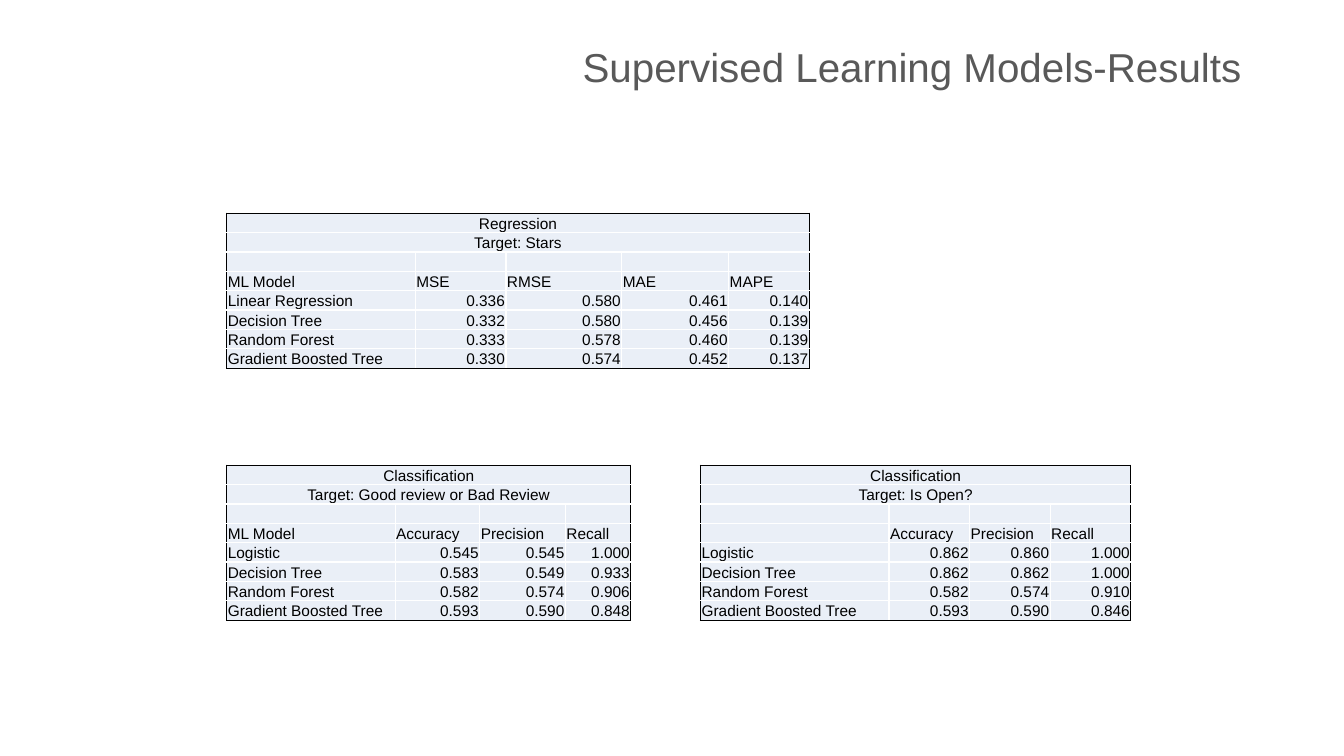
import dataclasses

import lxml.etree
import pptx
import pptx.dml.color
import pptx.enum.text
import pptx.oxml.ns
import pptx.slide
import pptx.table
import pptx.text.text
import pptx.util

# Grid: 80 columns by 39 rows; one table row is one grid row
WIDE = pptx.util.Inches(13.333)
HIGH = pptx.util.Inches(7.5)
COLS, ROWS = 80, 39
FONT = "Arial"
HUES = {"title": "595959", "text": "000000", "fill": "EAEFF7",
        "frame": "000000", "rule": "FFFFFF"}
ALIGN = pptx.enum.text.PP_ALIGN
ANCHOR = pptx.enum.text.MSO_ANCHOR
qn = pptx.oxml.ns.qn


@dataclasses.dataclass
class Score:
    """Results of several models on one target, placed on the grid."""
    left: float
    top: float
    widths: list[float]
    task: str
    target: str
    heads: list[str]
    models: dict[str, list[float]]


SCORES = [
    Score(13.5, 11, [11.22, 5.4, 6.9, 6.36, 4.8], "Regression", "Target: Stars",
          ["ML Model", "MSE", "RMSE", "MAE", "MAPE"],
          {"Linear Regression": [0.336, 0.580, 0.461, 0.140],
           "Decision Tree": [0.332, 0.580, 0.456, 0.139],
           "Random Forest": [0.333, 0.578, 0.460, 0.139],
           "Gradient Boosted Tree": [0.330, 0.574, 0.452, 0.137]}),
    Score(13.5, 24, [10.02, 5.04, 5.1, 3.9], "Classification",
          "Target: Good review or Bad Review",
          ["ML Model", "Accuracy", "Precision", "Recall"],
          {"Logistic": [0.545, 0.545, 1.000],
           "Decision Tree": [0.583, 0.549, 0.933],
           "Random Forest": [0.582, 0.574, 0.906],
           "Gradient Boosted Tree": [0.593, 0.590, 0.848]}),
    Score(41.7, 24, [11.22, 4.8, 4.8, 4.8], "Classification", "Target: Is Open?",
          ["", "Accuracy", "Precision", "Recall"],
          {"Logistic": [0.862, 0.860, 1.000],
           "Decision Tree": [0.862, 0.862, 1.000],
           "Random Forest": [0.582, 0.574, 0.910],
           "Gradient Boosted Tree": [0.593, 0.590, 0.846]}),
]


def across(cols: float) -> int:
    return round(WIDE * cols / COLS)


def down(rows: float) -> int:
    return round(HIGH * rows / ROWS)


def style(para: pptx.text.text._Paragraph, size: float, hue: str,
          align: ALIGN) -> None:
    para.alignment = align
    para.font.name = FONT
    para.font.size = pptx.util.Pt(size)
    para.font.color.rgb = pptx.dml.color.RGBColor.from_string(HUES[hue])


def edge(cell: pptx.table._Cell, outer: dict[str, bool]) -> None:
    """Draw the four cell borders, dark where they frame the table."""
    props = cell._tc.get_or_add_tcPr()
    for side, dark in outer.items():
        line = lxml.etree.SubElement(props, qn(f"a:ln{side}"),
                                     w=str(pptx.util.Pt(1)))
        fill = lxml.etree.SubElement(line, qn("a:solidFill"))
        lxml.etree.SubElement(fill, qn("a:srgbClr"),
                              val=HUES["frame" if dark else "rule"])


def write(cell: pptx.table._Cell, text: str, align: ALIGN) -> None:
    cell.fill.solid()
    cell.fill.fore_color.rgb = pptx.dml.color.RGBColor.from_string(HUES["fill"])
    cell.vertical_anchor = ANCHOR.BOTTOM
    cell.margin_left = cell.margin_right = cell.margin_top = pptx.util.Inches(0.01)
    cell.margin_bottom = 0
    para = cell.text_frame.paragraphs[0]
    if text:
        para.text = text
    else:  # keeps the empty row as low as the others
        lxml.etree.SubElement(para._p, qn("a:endParaRPr"), sz="1100")
    style(para, 11, "text", align)


def draw(slide: pptx.slide.Slide, score: Score) -> None:
    count = len(score.widths)
    blank = [""] * (count - 1)
    lines = [[score.task, *blank], [score.target, *blank], ["", *blank],
             score.heads]
    lines += [[name, *(f"{v:.3f}" for v in vals)]
              for name, vals in score.models.items()]
    table = slide.shapes.add_table(
        len(lines), count, across(score.left), down(score.top),
        across(sum(score.widths)), down(len(lines))).table
    table.first_row = table.horz_banding = False
    for col, width in zip(table.columns, score.widths):
        col.width = across(width)

    for r, line in enumerate(lines):
        table.rows[r].height = down(1)
        banner = r < 2
        for c, text in enumerate(line):
            cell = table.cell(r, c)
            edge(cell, {"L": c == 0, "R": banner or c == count - 1,
                        "T": r == 0, "B": r == len(lines) - 1})
            align = (ALIGN.CENTER if banner else
                     ALIGN.RIGHT if r > 3 and c > 0 else ALIGN.LEFT)
            write(cell, text, align)
        if banner:
            table.cell(r, 0).merge(table.cell(r, count - 1))


def main() -> None:
    deck = pptx.Presentation()
    deck.slide_width, deck.slide_height = WIDE, HIGH
    slide = deck.slides.add_slide(deck.slide_layouts[5])

    # Title
    title = slide.shapes.title
    title.left, title.top = across(5.5), down(2.08)
    title.width, title.height = across(69), down(2.96)
    frame = title.text_frame
    frame.text = "Supervised Learning Models-Results"
    frame.auto_size = pptx.enum.text.MSO_AUTO_SIZE.NONE
    frame.vertical_anchor = ANCHOR.MIDDLE
    frame.paragraphs[0].line_spacing = 0.9
    style(frame.paragraphs[0], 28.8, "title", ALIGN.RIGHT)

    # Result tables
    for score in SCORES:
        draw(slide, score)
    deck.save("out.pptx")


if __name__ == "__main__":
    main()
